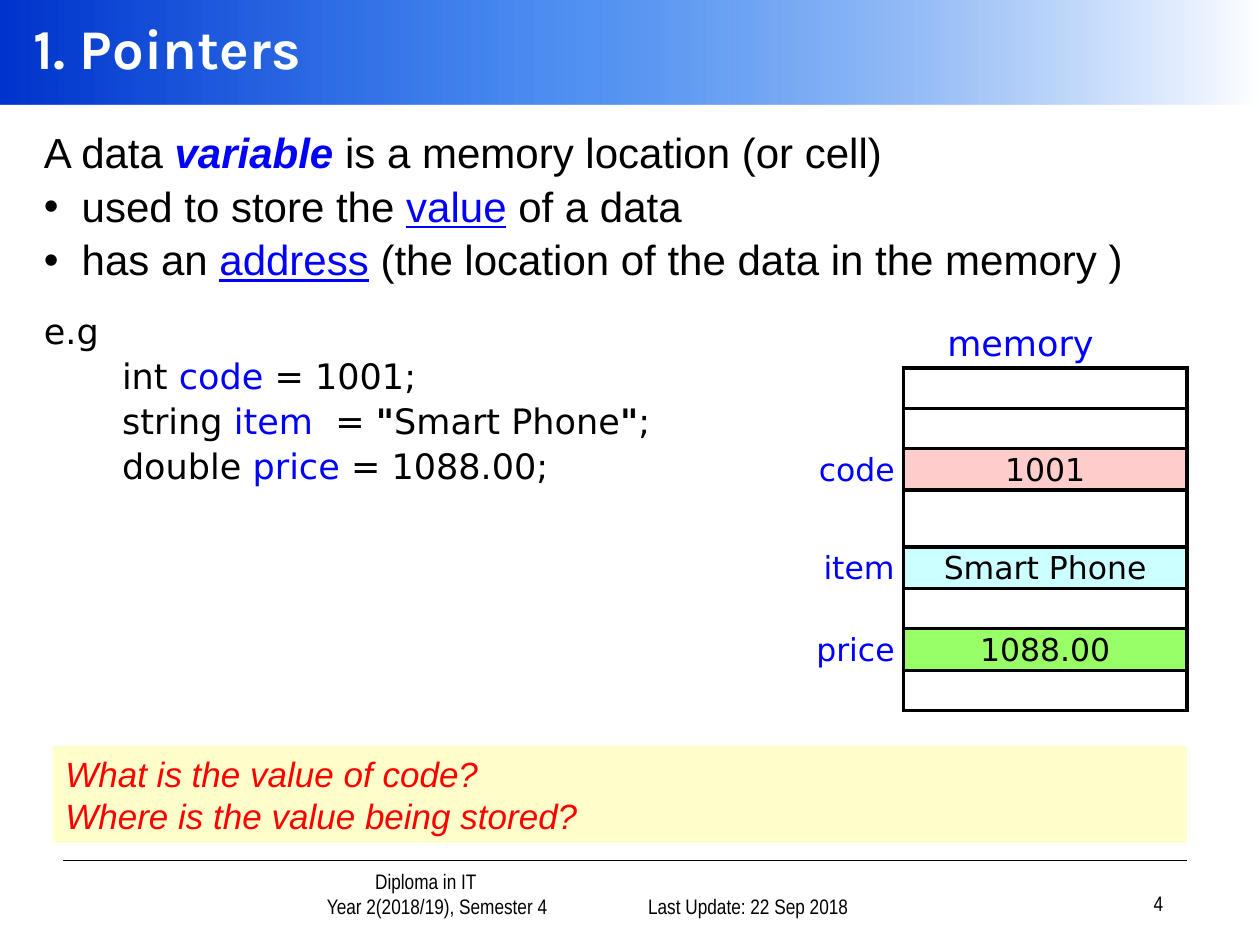
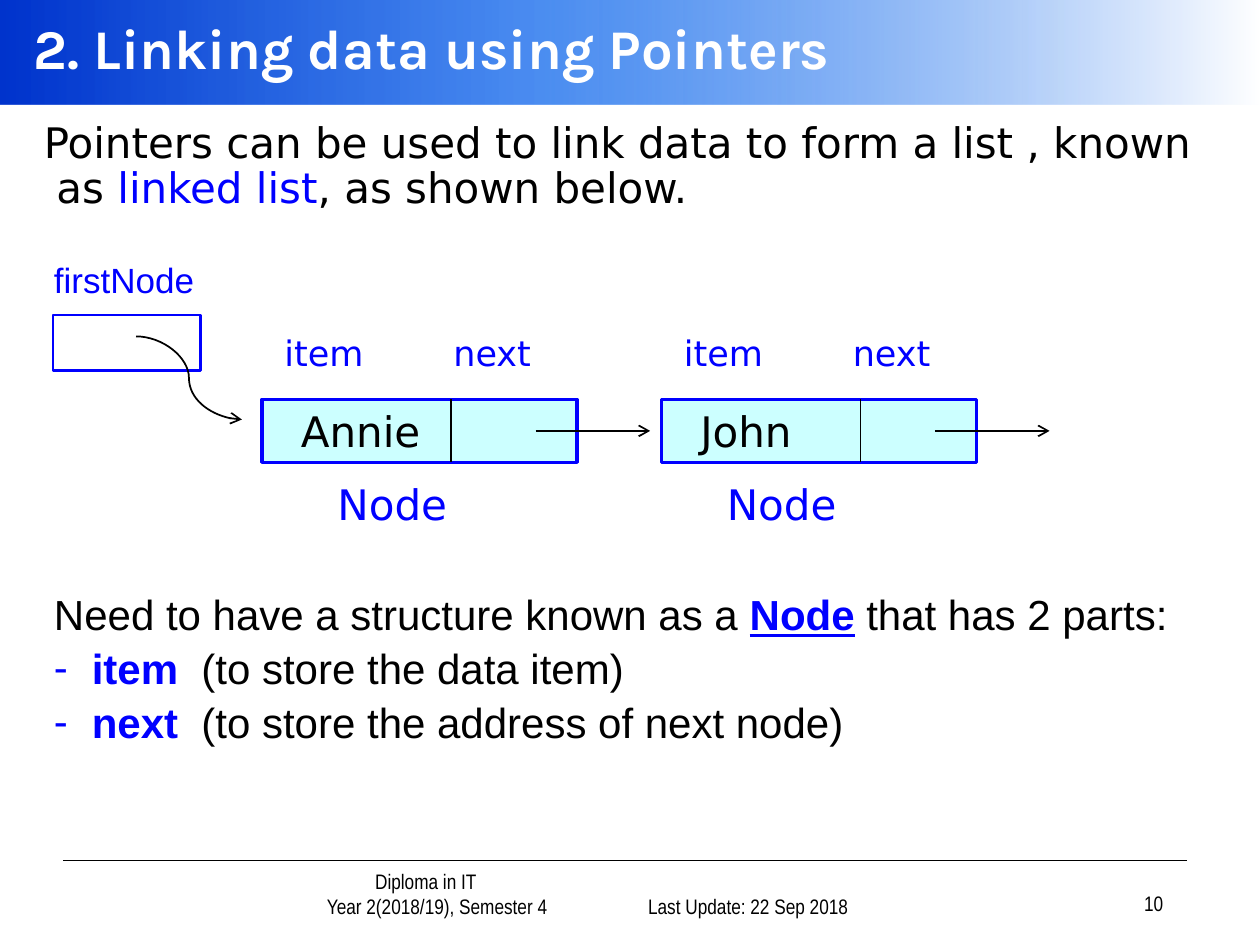
from dataclasses import dataclass

import lxml.etree
import pptx
import pptx.dml.color
import pptx.enum.dml
import pptx.enum.shapes
import pptx.enum.text
import pptx.oxml
import pptx.oxml.ns
import pptx.util
from pptx.util import Inches

ALIGN = pptx.enum.text.PP_ALIGN
ANCHOR = pptx.enum.text.MSO_ANCHOR
CONNECTOR = pptx.enum.shapes.MSO_CONNECTOR

BLACK, WHITE, BLUE, RED = "000000", "FFFFFF", "0000FF", "FF0000"
PINK, CYAN, GREEN, YELLOW = "FFCCCC", "CCFFFF", "99FF66", "FFFFCC"
BAND_STOPS = ((0, "0033CC", 100), (43, "005EEB", 70), (100, WHITE, 100))
SANS, WIDE, NARROW, TITLE_FONT = "Arial", "DejaVu Sans", "Arial Narrow", "Karla"
ITEM_VALUE = "Smart Phone"


@dataclass(frozen=True)
class Span:
    text: str
    color: str = BLACK
    bold: bool = False
    italic: bool = False
    underline: bool = False


@dataclass(frozen=True)
class Para:
    spans: tuple[Span, ...]
    size: int = 24
    font: str = SANS
    before: float = 0
    spacing: float = 1.0
    margin: float = 0
    indent: float = 0
    bullet: str = ""
    align: ALIGN = ALIGN.LEFT


@dataclass(frozen=True)
class Area:
    left: float
    top: float
    width: float
    height: float

    def lengths(self) -> list:
        return [Inches(v) for v in (self.left, self.top, self.width, self.height)]


@dataclass(frozen=True)
class MemoryRow:
    variable: str = ""
    value: str = ""
    fill: str = ""
    height: float = 0.32


@dataclass(frozen=True)
class Node:
    item: str
    left: float
    divider: float
    caption: float


def rgb(color: str) -> pptx.dml.color.RGBColor:
    return pptx.dml.color.RGBColor.from_string(color)


def add_xml(parent, tag: str, **attributes: str):
    child = lxml.etree.SubElement(parent, pptx.oxml.ns.qn(tag))
    for name, value in attributes.items():
        child.set(name, value)
    return child


def write(frame, paras: list[Para]) -> None:
    for number, para in enumerate(paras):
        paragraph = frame.paragraphs[0] if number == 0 else frame.add_paragraph()
        properties = paragraph._p.get_or_add_pPr()
        properties.set("marL", str(Inches(para.margin)))
        properties.set("indent", str(Inches(para.indent)))
        if para.bullet:
            add_xml(properties, "a:buFont", typeface=para.font)
            add_xml(properties, "a:buChar", char=para.bullet)
        else:
            add_xml(properties, "a:buNone")
        paragraph.alignment = para.align
        paragraph.line_spacing = para.spacing
        if number:
            paragraph.space_before = pptx.util.Pt(para.before)
        for span in para.spans:
            run = paragraph.add_run()
            run.text = span.text
            run.font.name = para.font
            run.font.size = pptx.util.Pt(para.size)
            run.font.color.rgb = rgb(span.color)
            run.font.bold = span.bold
            run.font.italic = span.italic
            run.font.underline = span.underline


def add_text(slide, area: Area, paras: list[Para], anchor: ANCHOR = ANCHOR.TOP) -> None:
    frame = slide.shapes.add_textbox(*area.lengths()).text_frame
    frame.word_wrap = True
    frame.vertical_anchor = anchor
    write(frame, paras)


def add_label(slide, area: Area, text: str, size: int = 20, font: str = WIDE) -> None:
    add_text(slide, area, [Para((Span(text, BLUE),), size, font)])


def add_box(slide, area: Area, fill: str = "", line: str = "", width: float = 1):
    box = slide.shapes.add_shape(
        pptx.enum.shapes.MSO_SHAPE.RECTANGLE, *area.lengths())
    box.shadow.inherit = False
    if fill:
        box.fill.solid()
        box.fill.fore_color.rgb = rgb(fill)
    else:
        box.fill.background()
    if line:
        box.line.color.rgb = rgb(line)
        box.line.width = pptx.util.Pt(width)
    else:
        box.line.fill.background()
    box.text_frame.word_wrap = True
    box.text_frame.vertical_anchor = ANCHOR.TOP
    return box


def add_line(slide, start: tuple[float, float], end: tuple[float, float],
             arrow: bool = False, kind: CONNECTOR = CONNECTOR.STRAIGHT) -> None:
    line = slide.shapes.add_connector(kind, *[Inches(v) for v in start + end])
    line.line.color.rgb = rgb(BLACK)
    line.line.width = pptx.util.Pt(1)
    if arrow:
        add_xml(line.line._get_or_add_ln(), "a:tailEnd", type="arrow")
    add_xml(line._element.spPr, "a:effectLst")


def add_band(slide) -> None:
    """Draw the title band, fading from blue to white."""
    band = add_box(slide, Area(0, 0, 10, 0.83))
    band.fill.gradient()
    band.fill.gradient_angle = 0
    stops = band._element.spPr.find(".//" + pptx.oxml.ns.qn("a:gsLst"))
    for stop in list(stops):
        stops.remove(stop)
    for position, color, opacity in BAND_STOPS:
        stop = add_xml(stops, "a:gs", pos=str(position * 1000))
        tint = add_xml(stop, "a:srgbClr", val=color)
        if opacity < 100:
            add_xml(tint, "a:alpha", val=str(opacity * 1000))


def footer_para(text: str, align: ALIGN = ALIGN.RIGHT, margin: float = 0) -> Para:
    return Para((Span(text),), 12, NARROW, margin=margin, align=align)


def add_page(deck, title: str, number: int):
    """Add a slide with the shared title band and footer."""
    slide = deck.slides.add_slide(deck.slide_layouts[6])
    add_band(slide)
    add_text(slide, Area(0.17, 0, 9.83, 0.75),
             [Para((Span(title, WHITE, bold=True),), 32, TITLE_FONT)], ANCHOR.MIDDLE)
    add_line(slide, (0.5, 6.83), (9.42, 6.83))
    course = [footer_para("Diploma in IT", ALIGN.CENTER, 0.5),
              footer_para("Year 2(2018/19), Semester 4", ALIGN.CENTER, 0.68)]
    add_text(slide, Area(1.68, 6.92, 2.9, 0.42), course, ANCHOR.BOTTOM)
    add_text(slide, Area(4.75, 6.92, 2.08, 0.42),
             [footer_para("Last Update: 22 Sep 2018")], ANCHOR.BOTTOM)
    add_text(slide, Area(7.25, 6.9, 2.08, 0.42),
             [footer_para(str(number))], ANCHOR.BOTTOM)
    return slide


def body(*spans: Span, bullet: str = "") -> Para:
    hang = 0.3 if bullet else 0
    return Para(spans, before=4.8, spacing=0.9, margin=hang, indent=-hang, bullet=bullet)


def code(*spans: Span, margin: float = 0.62, before: float = 4.2) -> Para:
    return Para(spans, 20, WIDE, before, 0.9, margin)


def style_cell(cell, text: str, color: str, align: ALIGN, sides: str, fill: str) -> None:
    cell.margin_left = cell.margin_right = Inches(0.07)
    cell.margin_top = cell.margin_bottom = 0
    properties = cell._tc.get_or_add_tcPr()
    for side in sides:
        border = add_xml(properties, "a:ln" + side, w=str(pptx.util.Pt(2.25)))
        add_xml(add_xml(border, "a:solidFill"), "a:srgbClr", val=BLACK)
    if fill:
        cell.fill.solid()
        cell.fill.fore_color.rgb = rgb(fill)
    else:
        cell.fill.background()
    if text:
        write(cell.text_frame,
              [Para((Span(text, color),), 18, WIDE, spacing=1.1, align=align)])


def add_memory(slide, rows: list[MemoryRow]) -> None:
    area = Area(5.67, 2.92, 3.75, sum(row.height for row in rows))
    table = slide.shapes.add_table(len(rows), 2, *area.lengths()).table
    table.first_row = table.horz_banding = False
    for column, width in zip(table.columns, (1.5, 2.25)):
        column.width = Inches(width)
    for number, row in enumerate(rows):
        table.rows[number].height = Inches(row.height)
        style_cell(table.cell(number, 0), row.variable, BLUE, ALIGN.RIGHT, "R", "")
        style_cell(table.cell(number, 1), row.value, BLACK, ALIGN.CENTER, "LRTB", row.fill)


def add_node(slide, node: Node) -> None:
    """Draw a two-part node with its labels and outgoing arrow."""
    top, height = 3.17, 0.5
    box = add_box(slide, Area(node.left, top, 2.5, height), CYAN, BLUE, 2)
    write(box.text_frame, [Para((Span(node.item),), font=WIDE, margin=0.21)])
    divider = node.left + node.divider
    add_line(slide, (divider, top), (divider, top + height))
    add_line(slide, (node.left + 2.17, 3.42), (node.left + 3.08, 3.42), arrow=True)
    add_label(slide, Area(node.left + 0.08, 2.58, 1.33, 0.44), "item")
    add_label(slide, Area(node.left + 1.42, 2.58, 1.17, 0.44), "next")
    add_label(slide, Area(node.left + node.caption, 3.75, 1.5, 0.5), "Node", 24)


def build_pointers(deck) -> None:
    slide = add_page(deck, "1. Pointers", 4)
    add_text(slide, Area(0.25, 1, 9.42, 5.67), [
        body(Span("A data "), Span("variable", BLUE, bold=True, italic=True),
             Span(" is a memory location (or cell)")),
        body(Span("used to store the "), Span("value", BLUE, underline=True),
             Span(" of a data"), bullet="•"),
        body(Span("has an "), Span("address", BLUE, underline=True),
             Span(" (the location of the data in the memory )"), bullet="•"),
        code(Span("e.g"), margin=0, before=16.6),
        code(Span("int "), Span("code", BLUE), Span(" = 1001;")),
        code(Span("string "), Span("item  ", BLUE), Span("= "), Span('"', bold=True),
             Span(ITEM_VALUE), Span('"', bold=True), Span(";")),
        code(Span("double "), Span("price", BLUE), Span(" = 1088.00;")),
    ])
    add_memory(slide, [
        MemoryRow(), MemoryRow(),
        MemoryRow("code", "1001", PINK),
        MemoryRow(height=0.45),
        MemoryRow("item", ITEM_VALUE, CYAN),
        MemoryRow(),
        MemoryRow("price", "1088.00", GREEN),
        MemoryRow(),
    ])
    questions = ("What is the value of code?", "Where is the value being stored?")
    box = add_box(slide, Area(0.42, 5.92, 9, 0.77), YELLOW)
    write(box.text_frame,
          [Para((Span(question, RED, italic=True),), 20) for question in questions])
    add_label(slide, Area(7.42, 2.5, 1.67, 0.44), "memory")


def build_linking(deck) -> None:
    slide = add_page(deck, "2. Linking data using Pointers", 10)
    add_text(slide, Area(0.25, 0.92, 9.5, 0.92), [
        Para((Span("Pointers can be used to link data to form a list , known as "),
              Span("linked list", BLUE), Span(", as shown below.")),
             font=WIDE, spacing=0.9, margin=0.1, indent=-0.1)])
    add_label(slide, Area(0.33, 2, 1.33, 0.44), "firstNode", font=SANS)
    add_box(slide, Area(0.42, 2.5, 1.17, 0.44), line=BLUE, width=1.5)
    add_line(slide, (1.08, 2.67), (1.92, 3.33), arrow=True, kind=CONNECTOR.CURVE)
    for node in (Node("Annie", 2.08, 1.5, 0.5), Node("John", 5.25, 1.58, 0.42)):
        add_node(slide, node)
    parts = {"item": "(to store the data item)",
             "next": "(to store the address of next node)"}
    add_text(slide, Area(0.33, 4.67, 9.25, 1.58), [
        body(Span("Need to have a structure known as a "),
             Span("Node", BLUE, bold=True, underline=True), Span(" that has 2 parts:")),
        *[body(Span(part + "  ", BLUE, bold=True), Span(purpose), bullet="-")
          for part, purpose in parts.items()],
    ])


def main() -> None:
    deck = pptx.Presentation()
    deck.slide_width, deck.slide_height = Inches(10), Inches(7.5)
    build_pointers(deck)
    build_linking(deck)
    deck.save("out.pptx")


if __name__ == "__main__":
    main()
